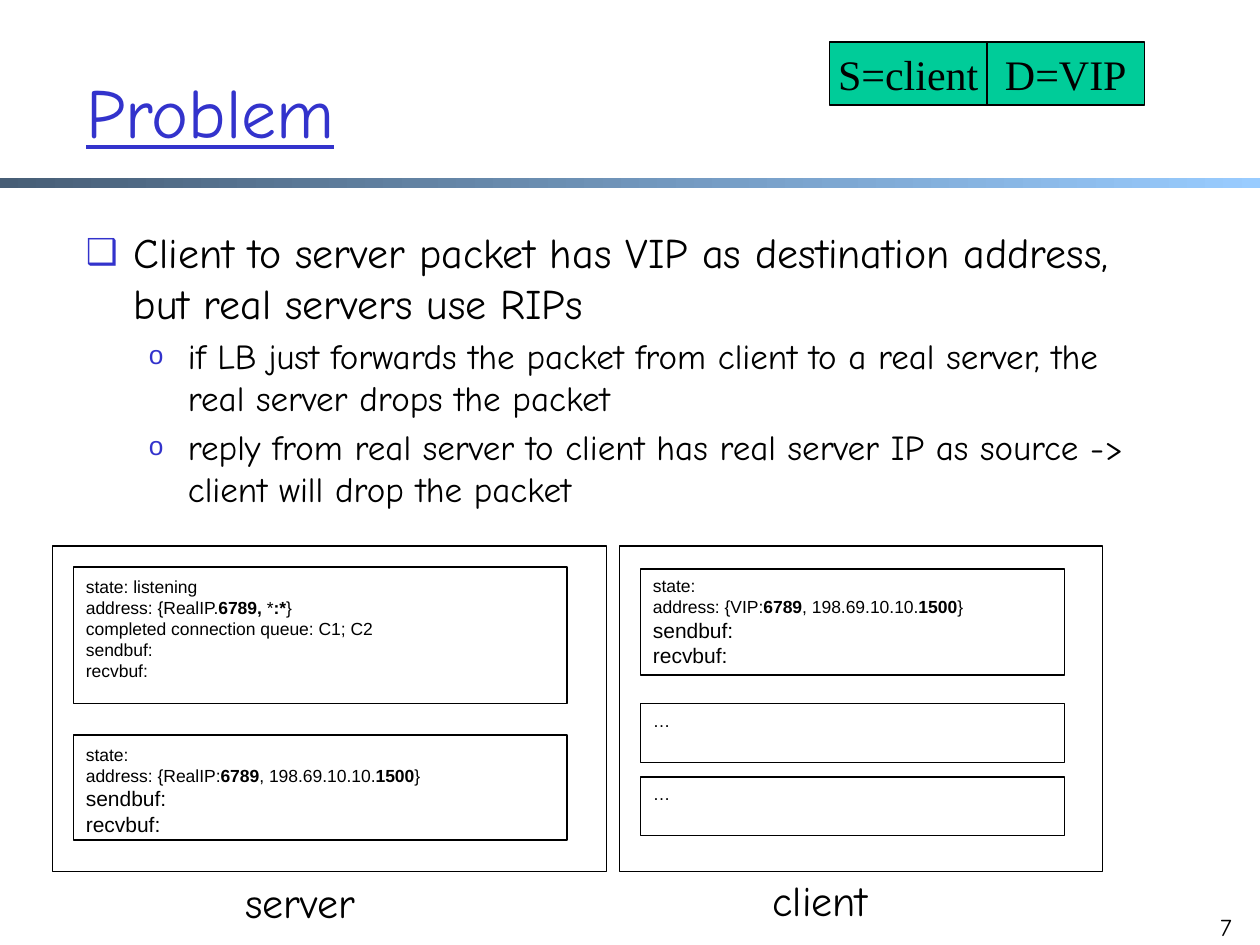
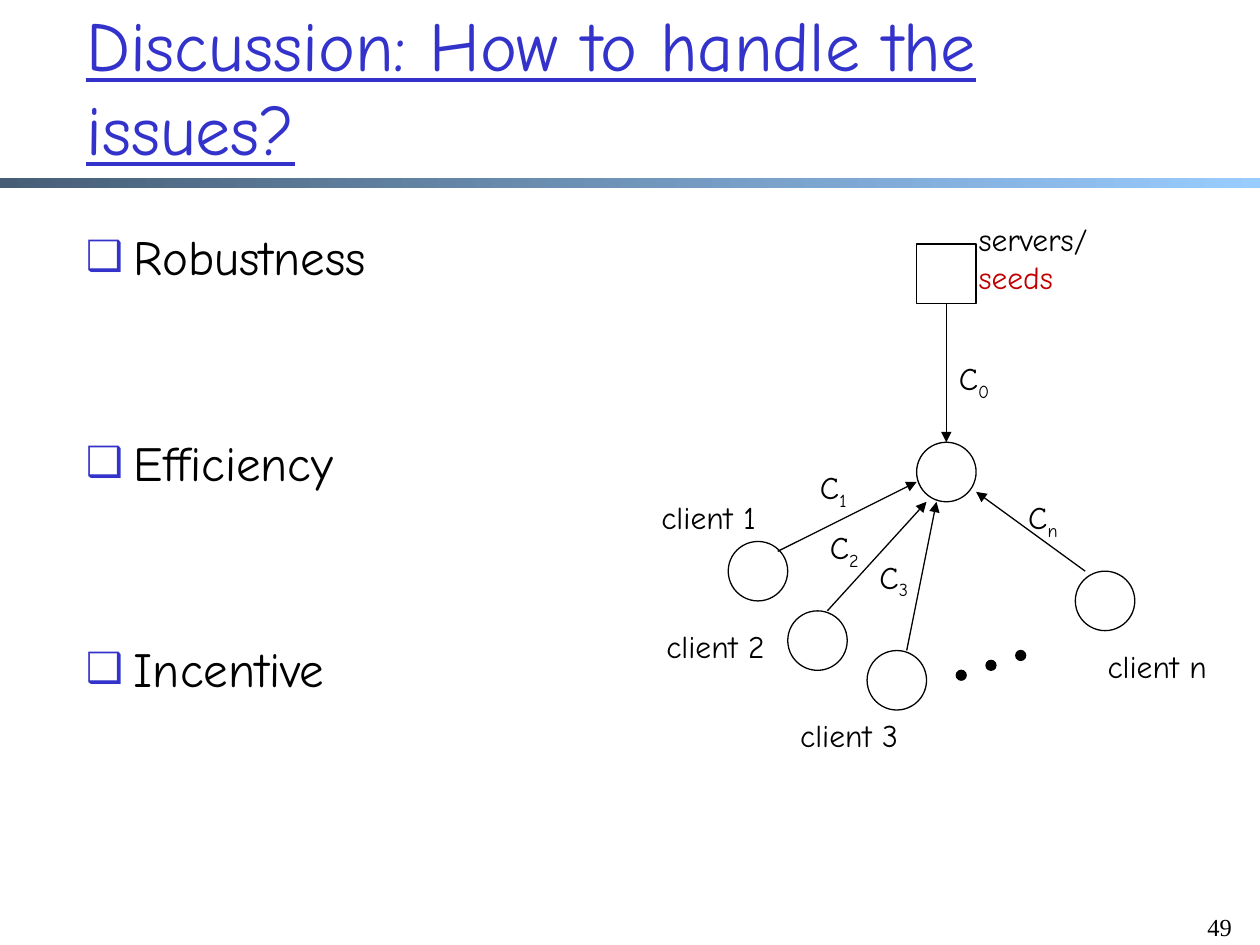
from dataclasses import dataclass

from lxml import etree
from pptx import Presentation
from pptx.dml.color import RGBColor
from pptx.enum.shapes import MSO_CONNECTOR, MSO_SHAPE
from pptx.enum.text import MSO_ANCHOR, MSO_AUTO_SIZE, PP_ALIGN
from pptx.oxml.ns import qn
from pptx.util import Inches, Pt

RECT, OVAL = MSO_SHAPE.RECTANGLE, MSO_SHAPE.OVAL
STRAIGHT = MSO_CONNECTOR.STRAIGHT
LEFT, MID, RIGHT = PP_ALIGN.LEFT, PP_ALIGN.CENTER, PP_ALIGN.RIGHT
MIDDLE, TOP = MSO_ANCHOR.MIDDLE, MSO_ANCHOR.TOP
FIXED = MSO_AUTO_SIZE.NONE


@dataclass(frozen=True)
class Theme:
    ink: str = "000000"
    blue: str = "3333CC"
    red: str = "C00000"
    green: str = "00CC99"
    dark: str = "475E76"
    light: str = "99CCFF"
    hand: str = "Comic Neue"
    sans: str = "Arial"
    serif: str = "Times New Roman"
    title: float = 40
    topic: float = 28
    body: float = 24
    sub: float = 20
    label: float = 18
    page: float = 14
    field: float = 12
    small: float = 10
    line: float = 0.75


THEME = Theme()


@dataclass(frozen=True)
class Grid:
    left: float
    top: float
    unit: float

    def point(self, col: float, row: float) -> tuple:
        return (Inches(self.left + col * self.unit),
                Inches(self.top + row * self.unit))

    def box(self, col: float, row: float, wide: float, high: float) -> tuple:
        return (*self.point(col, row),
                Inches(wide * self.unit), Inches(high * self.unit))


PAGE = Grid(0, 0, 1 / 12)        # 120 columns by 90 rows
NET = Grid(5.15, 1.7, 0.0787)    # peer diagram


@dataclass(frozen=True)
class Bullet:
    sign: str
    size: int
    left: float
    hang: float


BOX = Bullet("❑", 85, 0.38, 0.38)
RING = Bullet("o", 75, 0.81, 0.31)


@dataclass(frozen=True)
class Para:
    """Every second piece between bars is bold, or low if low is set."""
    text: str
    size: float
    face: str = THEME.hand
    color: str = THEME.ink
    align: PP_ALIGN = LEFT
    gap: float = 0
    bullet: Bullet | None = None
    low: bool = False


@dataclass(frozen=True)
class Pane:
    place: tuple
    paras: list
    inset: float = 0.05


@dataclass(frozen=True)
class Peer:
    name: str
    spot: tuple
    label: tuple
    start: tuple
    end: tuple
    rate: tuple


def rgb(code: str) -> RGBColor:
    return RGBColor.from_string(code)


def add_bullet(para, bullet: Bullet) -> None:
    props = para._p.get_or_add_pPr()
    props.set("marL", str(Inches(bullet.left)))
    props.set("indent", str(-Inches(bullet.hang)))
    color = etree.SubElement(props, qn("a:buClr"))
    etree.SubElement(color, qn("a:srgbClr"), val=THEME.blue)
    etree.SubElement(props, qn("a:buSzPct"), val=str(bullet.size * 1000))
    etree.SubElement(props, qn("a:buFont"), typeface=THEME.sans)
    etree.SubElement(props, qn("a:buChar"), char=bullet.sign)


def write(frame, paras: list, wrap: bool = True, inset: float = 0.05,
          anchor: MSO_ANCHOR = TOP) -> None:
    frame.word_wrap = wrap
    frame.auto_size = FIXED
    frame.vertical_anchor = anchor
    frame.margin_top = Inches(inset)
    for i, item in enumerate(paras):
        para = frame.add_paragraph() if i else frame.paragraphs[0]
        para.alignment = item.align
        para.space_before = Pt(item.gap)
        if item.bullet:
            add_bullet(para, item.bullet)
        font = para.font
        font.size, font.name = Pt(item.size), item.face
        font.color.rgb = rgb(item.color)
        for j, piece in enumerate(item.text.split("|")):
            run = para.add_run()
            run.text = piece
            if j % 2 and item.low:
                run._r.get_or_add_rPr().set("baseline", "-25000")
            elif j % 2:
                run.font.bold = True


def add_text(slide, place: tuple, paras: list) -> None:
    write(slide.shapes.add_textbox(*place).text_frame, paras)


def add_form(slide, kind: MSO_SHAPE, place: tuple, fill: str = ""):
    form = slide.shapes.add_shape(kind, *place)
    form.shadow.inherit = False
    if fill:
        form.fill.solid()
        form.fill.fore_color.rgb = rgb(fill)
    else:
        form.fill.background()
    form.line.color.rgb = rgb(THEME.ink)
    form.line.width = Pt(THEME.line)
    return form


def add_arrow(slide, start: tuple, end: tuple) -> None:
    arrow = slide.shapes.add_connector(
        STRAIGHT, *NET.point(*start), *NET.point(*end))
    arrow.line.color.rgb = rgb(THEME.ink)
    arrow.line.width = Pt(THEME.line)
    props = arrow._element.spPr
    etree.SubElement(props.find(qn("a:ln")), qn("a:tailEnd"), type="triangle")
    etree.SubElement(props, qn("a:effectLst"))


def add_slide(deck, title: str, row: float, page: str, face: str):
    slide = deck.slides.add_slide(deck.slide_layouts[5])
    # Gradient band
    band = slide.shapes.add_shape(RECT, *PAGE.box(0, 16.95, 120, 1))
    band.shadow.inherit = False
    band.line.fill.background()
    band.fill.gradient()
    band.fill.gradient_angle = 0
    for stop, code, share in zip(band.fill.gradient_stops,
                                 (THEME.dark, THEME.light), (0, 1)):
        stop.color.rgb = rgb(code)
        stop.position = share
    # Title
    head = slide.shapes.title
    head.left, head.top, head.width, head.height = PAGE.box(7, row, 102, 15)
    write(head.text_frame, [Para(title, THEME.title, color=THEME.blue)],
          anchor=MIDDLE)
    head.text_frame.paragraphs[0].font.underline = True
    # Page number
    add_text(slide, PAGE.box(112.5, 86.25, 6, 6),
             [Para(page, THEME.page, face, align=RIGHT)])
    return slide


def sans(*lines: str, size: float = THEME.small) -> list:
    return [Para(line, size, THEME.sans) for line in lines]


def state(host: str) -> list:
    return [*sans("state:",
                  f"address: {{{host}:|6789|, 198.69.10.10.|1500|}}"),
            *sans("sendbuf:", "recvbuf:", size=THEME.field)]


def draw_problem(deck) -> None:
    slide = add_slide(deck, "Problem", 3, "7", THEME.hand)
    add_text(slide, PAGE.box(7, 21, 102, 30), [
        Para("Client to server packet has VIP as destination address, "
             "but real servers use RIPs", THEME.body, bullet=BOX),
        *(Para(text, THEME.sub, gap=4, bullet=RING) for text in (
            "if LB just forwards the packet from client to a real server, "
            "the real server drops the packet",
            "reply from real server to client has real server IP as source "
            "-> client will drop the packet"))])

    # Packet header
    for i, text in enumerate(("S=client", "D=VIP")):
        tile = add_form(slide, RECT, PAGE.box(79 + 15 * i, 4, 15, 6),
                        THEME.green)
        write(tile.text_frame,
              [Para(text, THEME.body, THEME.serif, align=MID)], wrap=False)

    # Hosts
    for name, col, wide, spot in (("server", 5, 52.8, (22.2, 82.9)),
                                  ("client", 59, 46, (72.4, 82.7))):
        add_form(slide, RECT, PAGE.box(col, 52, wide, 31))
        add_text(slide, PAGE.box(*spot, 14.5, 6), [Para(name, THEME.body)])

    # Sockets
    listen = sans("state: listening", "address: {RealIP.|6789, |*|:*|}",
                  "completed connection queue: C1; C2", "sendbuf:", "recvbuf:")
    panes = [Pane((7, 54, 47, 13), listen, 0.07),
             Pane((7, 70, 47, 10), state("RealIP"), 0.07),
             Pane((61, 54.2, 40.4, 10.1), state("VIP")),
             *(Pane((61, row, 40.4, 5.6), sans("…")) for row in (67, 74))]
    for pane in panes:
        form = add_form(slide, RECT, PAGE.box(*pane.place))
        write(form.text_frame, pane.paras, inset=pane.inset)


def draw_issues(deck) -> None:
    slide = add_slide(deck, "Discussion: How to handle the issues?", 0.6,
                      "49", THEME.serif)
    topics = ("Robustness", "Efficiency", "Incentive")
    add_text(slide, PAGE.box(7, 21, 52, 61),
             [Para(text, THEME.topic, gap=84 if i else 0, bullet=BOX)
              for i, text in enumerate(topics)])

    def add_rate(spot: tuple, sign: str) -> None:
        add_text(slide, NET.box(*spot, 9, 5),
                 [Para(f"C|{sign}", THEME.label, low=True)])

    # Seed and hub
    add_form(slide, RECT, NET.box(27, 3, 6, 6))
    add_form(slide, OVAL, NET.box(27, 23, 6, 6))
    add_arrow(slide, (30, 9), (30, 23))
    add_rate((30, 14), "0")
    add_text(slide, NET.box(32, 0, 17, 9),
             [Para("servers/", THEME.label),
              Para("seeds", THEME.label, color=THEME.red)])

    # Clients
    peers = [
        Peer("1", (8, 33), (0, 28), (13, 34), (27, 27), (16, 25)),
        Peer("2", (14, 40), (0.5, 41), (18, 40), (28, 29), (17, 31)),
        Peer("3", (22, 44), (14, 50), (26, 44), (29, 29), (22, 34)),
        Peer("n", (43, 36), (45, 43), (44, 36), (33, 28), (37, 28)),
    ]
    for peer in peers:
        add_form(slide, OVAL, NET.box(*peer.spot, 6, 6))
        add_arrow(slide, peer.start, peer.end)
        add_text(slide, NET.box(*peer.label, 14, 5),
                 [Para(f"client {peer.name}", THEME.label)])
        add_rate(peer.rate, peer.name)

    # Dots for the clients between
    for i in range(3):
        add_form(slide, OVAL, NET.box(31 + 3 * i, 46 - i, 1, 1), THEME.ink)


def main() -> None:
    deck = Presentation()
    deck.slide_width, deck.slide_height = Inches(10), Inches(7.5)
    draw_problem(deck)
    draw_issues(deck)
    deck.save("out.pptx")


if __name__ == "__main__":
    main()
